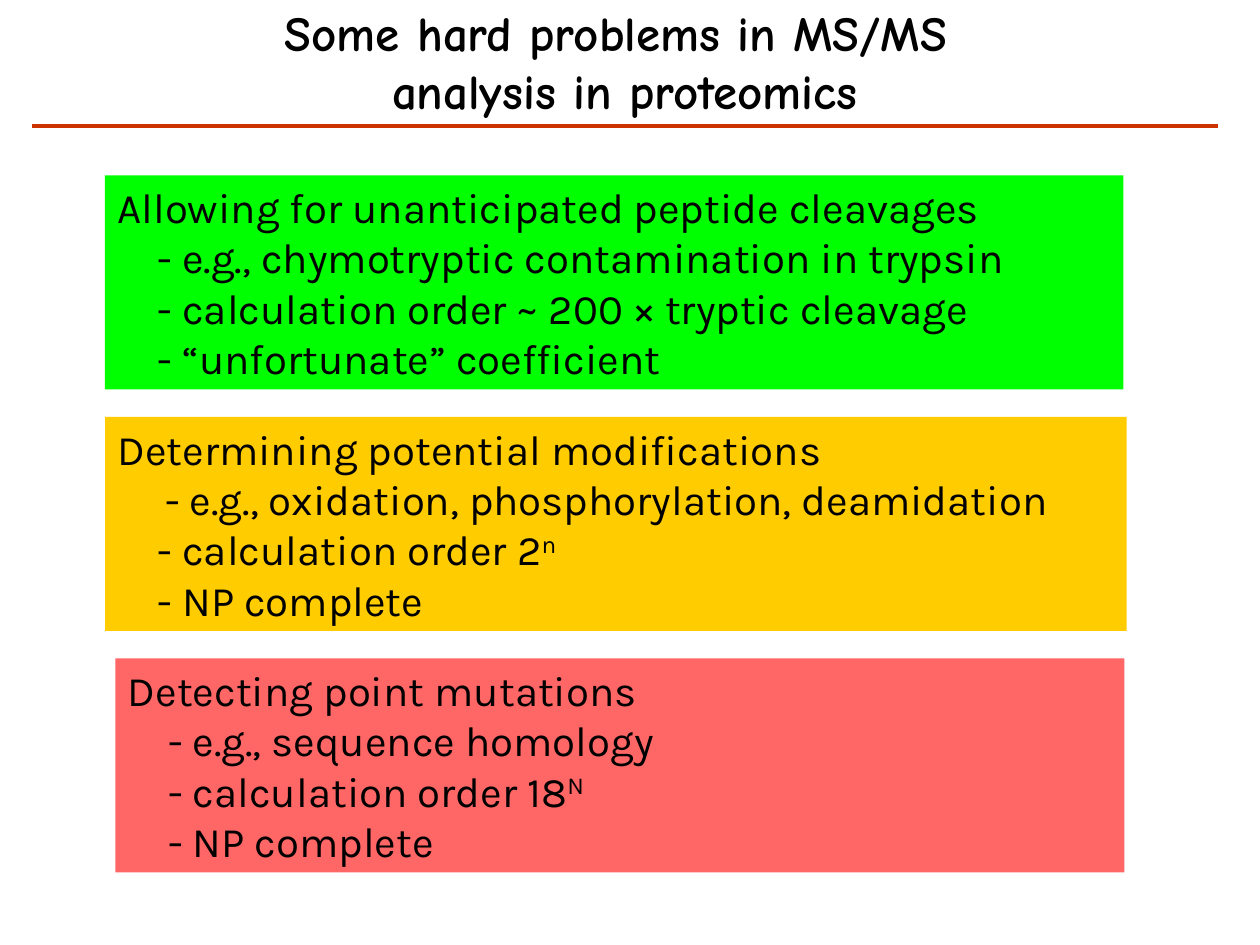
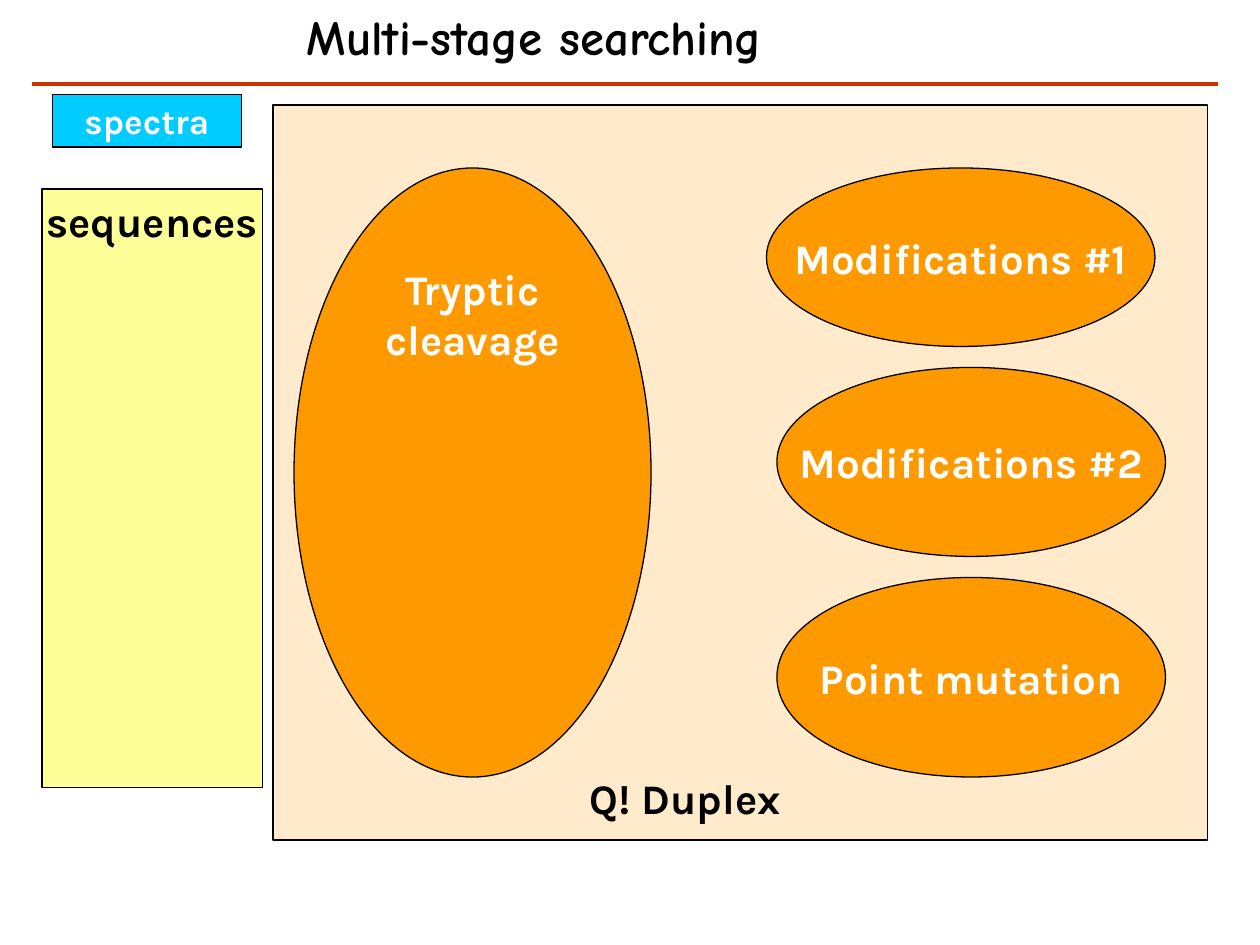
from pptx import Presentation
from pptx.dml.color import RGBColor
from pptx.enum.shapes import MSO_CONNECTOR, MSO_SHAPE
from pptx.enum.text import MSO_ANCHOR, MSO_AUTO_SIZE, PP_ALIGN
from pptx.oxml.ns import qn
from pptx.util import Inches, Pt
from lxml import etree

RECT, OVAL = MSO_SHAPE.RECTANGLE, MSO_SHAPE.OVAL
LINE = MSO_CONNECTOR.STRAIGHT
TOP, MID = MSO_ANCHOR.TOP, MSO_ANCHOR.MIDDLE
LEFT, CENTER = PP_ALIGN.LEFT, PP_ALIGN.CENTER
FIXED = MSO_AUTO_SIZE.NONE

BLACK = RGBColor(0x00, 0x00, 0x00)
WHITE = RGBColor(0xFF, 0xFF, 0xFF)
RUST = RGBColor(0xCC, 0x33, 0x00)
GREEN = RGBColor(0x00, 0xFF, 0x00)
GOLD = RGBColor(0xFF, 0xCC, 0x00)
CORAL = RGBColor(0xFF, 0x66, 0x66)
CREAM = RGBColor(0xFF, 0xEB, 0xCC)
YELLOW = RGBColor(0xFF, 0xFF, 0x99)
CYAN = RGBColor(0x00, 0xCC, 0xFF)
ORANGE = RGBColor(0xFF, 0x99, 0x00)

HEAD, BODY = "Comic Neue", "Karla"

deck = Presentation()
deck.slide_width, deck.slide_height = Inches(10), Inches(7.5)
UNIT = deck.slide_width / 120  # the grid has 120 columns and 90 rows


def grid(*cells):
    return [round(cell * UNIT) for cell in cells]


def write(shape, lines, font, size, color, bold, align, anchor, wrap=False):
    frame = shape.text_frame
    frame.auto_size, frame.word_wrap = FIXED, wrap
    frame.vertical_anchor = anchor
    frame.margin_left = frame.margin_right = Inches(0.1)
    frame.margin_top = frame.margin_bottom = Inches(0.05)
    for i, line in enumerate(lines):
        para = frame.paragraphs[0] if i == 0 else frame.add_paragraph()
        para.alignment = align
        face = para.font
        face.name, face.size, face.bold = font, Pt(size), bold
        face.color.rgb = color
        # A caret starts a superscript
        base, _, power = line.partition("^")
        para.add_run().text = base
        if power:
            run = para.add_run()
            run.text = power
            run._r.get_or_add_rPr().set("baseline", "30000")


# Slides with their titles and rules
heads = [
    (["Some hard problems in MS/MS ", "analysis in proteomics"],
     (21.5, -0.4, 76, 12.5), CENTER, 12),
    (["Multi-stage searching"], (28, 0, 52.3, 6.9), LEFT, 8),
]
slides = []
for lines, place, align, row in heads:
    slide = deck.slides.add_slide(deck.slide_layouts[5])
    title = slide.shapes.title
    title.left, title.top, title.width, title.height = grid(*place)
    write(title, lines, HEAD, 28, BLACK, True, align, TOP)
    rule = slide.shapes.add_connector(LINE, *grid(3, row, 116, row))
    rule.line.color.rgb, rule.line.width = RUST, Pt(2.5)
    etree.SubElement(rule._element.spPr, qn("a:effectLst"))
    slides.append(slide)
hard, stages = slides

# Hard problems: fill, left, width, indent of the first detail, lines
cards = [
    (GREEN, 10, 97, 0.32, ["Allowing for unanticipated peptide cleavages",
                           "- e.g., chymotryptic contamination in trypsin",
                           "- calculation order ~ 200 × tryptic cleavage",
                           "- “unfortunate” coefficient"]),
    (GOLD, 10, 97.3, 0.38, ["Determining potential modifications",
                            "- e.g., oxidation, phosphorylation, deamidation",
                            "- calculation order 2^n",
                            "- NP complete"]),
    (CORAL, 11, 96.1, 0.32, ["Detecting point mutations",
                             "- e.g., sequence homology",
                             "- calculation order 18^N",
                             "- NP complete"]),
]
for i, (fill, left, width, indent, lines) in enumerate(cards):
    card = hard.shapes.add_shape(RECT, *grid(left, 16.7 + 23 * i, width, 20.4))
    card.shadow.inherit = False
    card.fill.solid()
    card.fill.fore_color.rgb = fill
    card.line.fill.background()
    write(card, lines, BODY, 24, BLACK, False, LEFT, TOP, True)
    for j, para in enumerate(card.text_frame.paragraphs[1:]):
        inset = Inches(0.32 if j else indent)
        para._p.get_or_add_pPr().set("marL", str(inset))

# Search stages: shape, place, fill, lines, size, colour, anchor
parts = [
    (RECT, (26, 10, 89, 70), CREAM, [], 24, BLACK, TOP),
    (RECT, (4, 18, 21, 57), YELLOW, ["sequences"], 24, BLACK, TOP),
    (RECT, (5, 9, 18, 5), CYAN, ["spectra"], 20, WHITE, MID),
    (OVAL, (28, 16, 34, 58), ORANGE, ["Tryptic", "cleavage"], 24, WHITE, TOP),
    (OVAL, (73, 16, 37, 17), ORANGE, ["Modifications #1"], 24, WHITE, MID),
    (OVAL, (74, 35, 37, 18), ORANGE, ["Modifications #2"], 24, WHITE, MID),
    (OVAL, (74, 55, 37, 19), ORANGE, ["Point mutation"], 24, WHITE, MID),
]
for kind, place, fill, lines, size, color, anchor in parts:
    part = stages.shapes.add_shape(kind, *grid(*place))
    part.shadow.inherit = False
    part.fill.solid()
    part.fill.fore_color.rgb = fill
    part.line.color.rgb, part.line.width = BLACK, Pt(0.75)
    write(part, lines, BODY, size, color, True, CENTER, anchor)

# Name of the search engine
label = stages.shapes.add_textbox(*grid(55, 73, 23.8, 6))
write(label, ["Q! Duplex"], BODY, 24, BLACK, True, LEFT, TOP)

deck.save("out.pptx")
